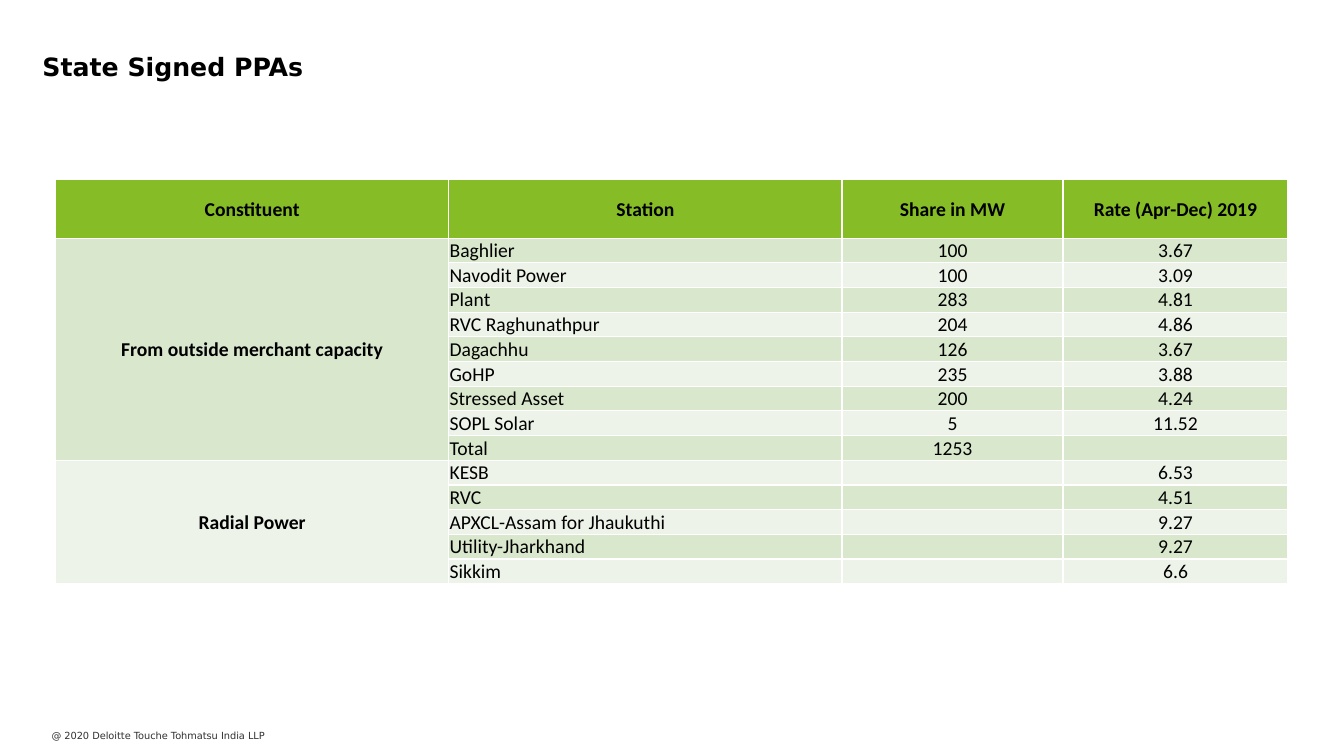
from dataclasses import dataclass

from lxml.etree import SubElement
from pptx import Presentation
from pptx.dml.color import RGBColor
from pptx.enum.text import MSO_ANCHOR, MSO_AUTO_SIZE, PP_ALIGN
from pptx.oxml.ns import qn
from pptx.util import Cm, Pt

COLOURS = {
    "header": "86BC25",
    "dark band": "D9E7CD",
    "light band": "EDF3E8",
    "text": "000000",
    "footer": "313131",
}
TABLE_FONT = "Calibri"
SLIDE_FONT = "DejaVu Sans"
TABLE_SIZE = 14
HEADINGS = ["Constituent", "Station", "Share in MW", "Rate (Apr-Dec) 2019"]
COLUMN_WIDTHS = [9.91, 9.91, 5.57, 5.67]
HEADER_HEIGHT = 1.47
ROW_HEIGHT = 0.59


@dataclass
class Station:
    name: str
    share: str
    rate: str


@dataclass
class Constituent:
    name: str
    stations: list[Station]


CONSTITUENTS = [
    Constituent("From outside merchant capacity", [
        Station("Baghlier", "100", "3.67"),
        Station("Navodit Power", "100", "3.09"),
        Station("Plant", "283", "4.81"),
        Station("RVC Raghunathpur", "204", "4.86"),
        Station("Dagachhu", "126", "3.67"),
        Station("GoHP", "235", "3.88"),
        Station("Stressed Asset", "200", "4.24"),
        Station("SOPL Solar", "5", "11.52"),
        Station("Total", "1253", ""),
    ]),
    Constituent("Radial Power", [
        Station("KESB", "", "6.53"),
        Station("RVC", "", "4.51"),
        Station("APXCL-Assam for Jhaukuthi", "", "9.27"),
        Station("Utility-Jharkhand", "", "9.27"),
        Station("Sikkim", "", "6.6"),
    ]),
]


def add_span(para, text: str, font: str, size: float, colour: str, bold: bool = False) -> None:
    span = para.add_run()
    span.text = text
    span.font.name = font
    span.font.size = Pt(size)
    span.font.bold = bold
    span.font.color.rgb = RGBColor.from_string(COLOURS[colour])


def clear_margins(frame) -> None:
    frame.margin_left = frame.margin_right = Cm(0)
    frame.margin_top = frame.margin_bottom = Cm(0)
    frame.vertical_anchor = MSO_ANCHOR.TOP
    frame.word_wrap = True


def fill_cell(cell, text: str, fill: str, centred: bool = True, bold: bool = False) -> None:
    cell.fill.solid()
    cell.fill.fore_color.rgb = RGBColor.from_string(COLOURS[fill])
    cell.margin_left = cell.margin_right = cell.margin_top = Cm(0.02)
    cell.margin_bottom = Cm(0)
    cell.vertical_anchor = MSO_ANCHOR.MIDDLE
    para = cell.text_frame.paragraphs[0]
    para.alignment = PP_ALIGN.CENTER if centred else PP_ALIGN.LEFT
    if text:
        add_span(para, text, TABLE_FONT, TABLE_SIZE, "text", bold)
    else:
        SubElement(para._p, qn("a:endParaRPr"), sz=str(TABLE_SIZE * 100))


def add_title(page) -> None:
    box = page.shapes.title
    box.left, box.top, box.width, box.height = Cm(1.07), Cm(1.3), Cm(31.09), Cm(1.02)
    frame = box.text_frame
    clear_margins(frame)
    frame.auto_size = MSO_AUTO_SIZE.NONE
    para = frame.paragraphs[0]
    para.alignment = PP_ALIGN.JUSTIFY
    add_span(para, "State Signed PPAs", SLIDE_FONT, 18, "text", True)


def add_station_table(page) -> None:
    row_count = 1 + sum(len(group.stations) for group in CONSTITUENTS)
    height = HEADER_HEIGHT + ROW_HEIGHT * (row_count - 1)
    table = page.shapes.add_table(
        row_count, len(HEADINGS), Cm(1.4), Cm(4.53), Cm(sum(COLUMN_WIDTHS)), Cm(height)
    ).table
    for column, width in zip(table.columns, COLUMN_WIDTHS):
        column.width = Cm(width)
    for index, row in enumerate(table.rows):
        row.height = Cm(ROW_HEIGHT if index else HEADER_HEIGHT)
    for index, heading in enumerate(HEADINGS):
        fill_cell(table.cell(0, index), heading, "header", bold=True)

    first = 1
    for group in CONSTITUENTS:
        last = first + len(group.stations) - 1
        table.cell(first, 0).merge(table.cell(last, 0))
        for row, station in enumerate(group.stations, first):
            band = "dark band" if row % 2 else "light band"
            fill_cell(table.cell(row, 0), group.name if row == first else "", band, bold=True)
            fill_cell(table.cell(row, 1), station.name, band, centred=False)
            fill_cell(table.cell(row, 2), station.share, band)
            fill_cell(table.cell(row, 3), station.rate, band)
        first = last + 1


def add_copyright(page) -> None:
    box = page.shapes.add_textbox(Cm(1.3), Cm(18.39), Cm(12.42), Cm(0.3))
    frame = box.text_frame
    clear_margins(frame)
    frame.auto_size = MSO_AUTO_SIZE.SHAPE_TO_FIT_TEXT
    add_span(frame.paragraphs[0], "@ 2020 Deloitte Touche Tohmatsu India LLP", SLIDE_FONT, 7, "footer")


def main() -> None:
    deck = Presentation()
    deck.slide_width, deck.slide_height = Cm(33.87), Cm(19.05)
    page = deck.slides.add_slide(deck.slide_layouts[5])
    add_title(page)
    add_station_table(page)
    add_copyright(page)
    deck.save("out.pptx")


if __name__ == "__main__":
    main()
